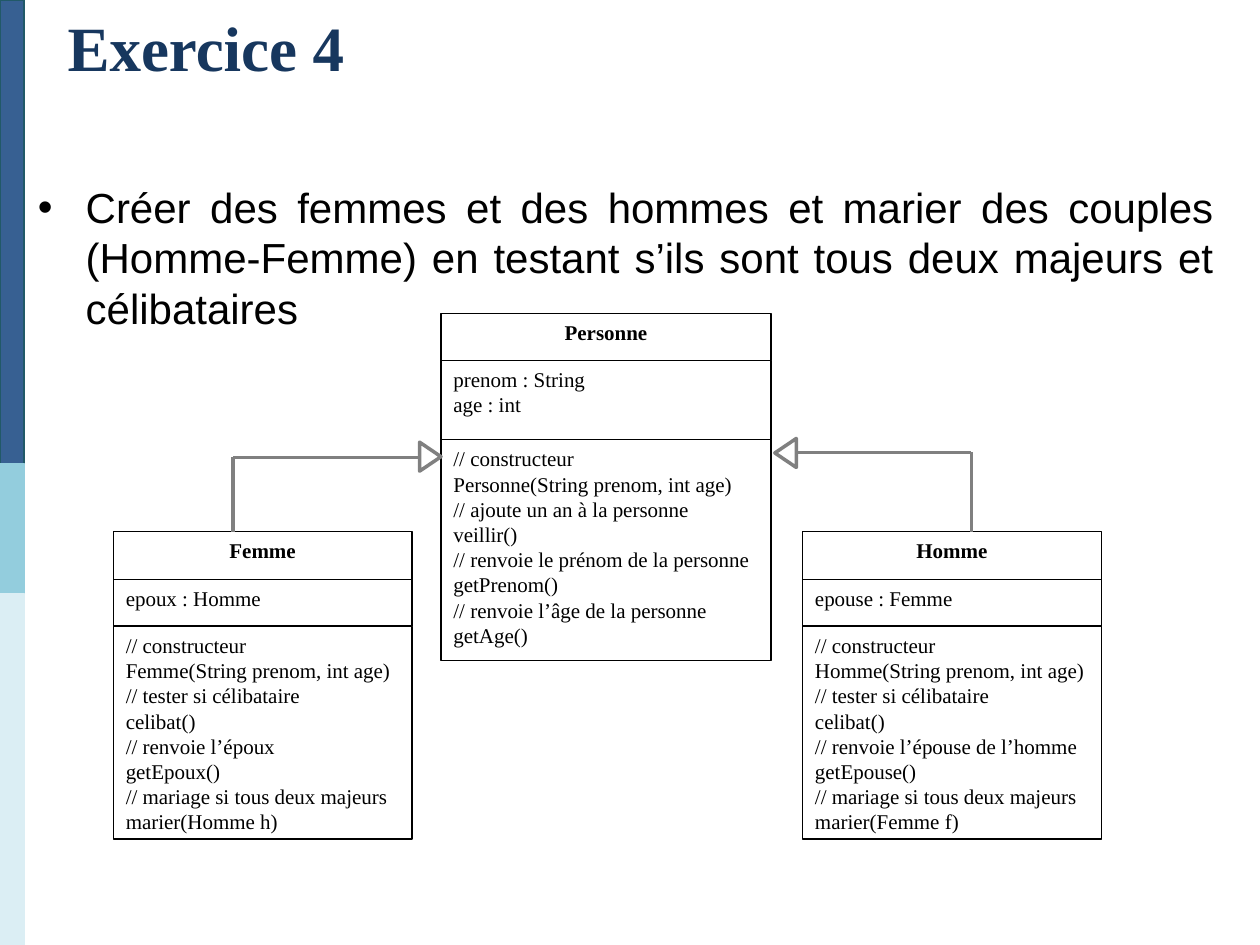
import pptx
import pptx.util
import pptx.dml.color
import pptx.enum.shapes
import pptx.enum.text
import pptx.oxml.ns
import lxml.etree

Inches, Pt = pptx.util.Inches, pptx.util.Pt
RGB = pptx.dml.color.RGBColor.from_string
SHAPE = pptx.enum.shapes.MSO_SHAPE
ALIGN = pptx.enum.text.PP_ALIGN
ANCHOR = pptx.enum.text.MSO_ANCHOR
AUTOSIZE = pptx.enum.text.MSO_AUTO_SIZE
qn = pptx.oxml.ns.qn

# Content
COLORS = {"title": "17375E", "ink": "000000", "paper": "FFFFFF", "link": "808080"}
SERIF, SANS = "Times New Roman", "Arial"
TITLE = "Exercice 4"
TASK = ("Créer des femmes et des hommes et marier des couples (Homme-Femme) "
        "en testant s’ils sont tous deux majeurs et célibataires")
# Side band: height, fill, line
BANDS = [(3.68, "376092", "215968"), (1.03, "93CDDD", "93CDDD"), (2.79, "DBEEF4", "DBEEF4")]
BAND_WIDTH = 0.19

CHILD_ROWS = (0.38, 0.37, 1.69)
CLASSES = [
    {"name": "Personne", "at": (3.5, 2.49), "width": 2.62, "rows": (0.37, 0.63, 1.75),
     "fields": ["prenom\u00a0: String", "age\u00a0: int"],
     "methods": ["// constructeur", "Personne(String prenom, int age)",
                 "// ajoute un an à la personne", "veillir()",
                 "// renvoie le prénom de la personne", "getPrenom()",
                 "// renvoie l’âge de la personne", "getAge()"]},
    {"name": "Homme", "at": (6.37, 4.22), "width": 2.37, "rows": CHILD_ROWS,
     "fields": ["epouse\u00a0: Femme"],
     "methods": ["// constructeur", "Homme(String prenom, int age)",
                 "// tester si célibataire", "celibat()",
                 "// renvoie l’épouse de l’homme", "getEpouse()",
                 "// mariage si tous deux majeurs", "marier(Femme f)"]},
    {"name": "Femme", "at": (0.9, 4.22), "width": 2.37, "rows": CHILD_ROWS,
     "fields": ["epoux\u00a0: Homme"],
     "methods": ["// constructeur", "Femme(String prenom, int age)",
                 "// tester si célibataire", "celibat()",
                 "// renvoie l’époux", "getEpoux()",
                 "// mariage si tous deux majeurs", "marier(Homme h)"]},
]
# Inheritance: child x, child top, elbow y, parent x, triangle left and top, rotation
LINKS = [(1.85, 4.22, 3.63, 3.5, (3.3, 3.54), 90),
         (7.71, 4.22, 3.59, 6.15, (6.12, 3.51), 270)]
HEAD_SIZE = (0.23, 0.17)

deck = pptx.Presentation()
deck.slide_width, deck.slide_height = Inches(10), Inches(7.5)
slide = deck.slides.add_slide(deck.slide_layouts[1])


def place(holder, left, top, width, height):
    holder.left, holder.top = Inches(left), Inches(top)
    holder.width, holder.height = Inches(width), Inches(height)


def write(paragraph, text, size, font, color, align, bold=False):
    paragraph.alignment = align
    run = paragraph.add_run()
    run.text = text
    run.font.size, run.font.name, run.font.bold = Pt(size), font, bold
    run.font.color.rgb = RGB(color)


def add_box(kind, left, top, width, height, fill, line, weight=0.75):
    box = slide.shapes.add_shape(kind, *map(Inches, (left, top, width, height)))
    box.shadow.inherit = False
    box.fill.solid()
    box.fill.fore_color.rgb = RGB(fill)
    box.line.color.rgb = RGB(line)
    box.line.width = Pt(weight)
    return box


def add_line(start, end, arrow=False):
    link = slide.shapes.add_connector(
        pptx.enum.shapes.MSO_CONNECTOR.STRAIGHT, *map(Inches, start + end))
    link.line.color.rgb = RGB(COLORS["link"])
    link.line.width = Pt(2)
    properties = link.line._get_or_add_ln()
    if arrow:
        lxml.etree.SubElement(properties, qn("a:tailEnd"), type="triangle")
    lxml.etree.SubElement(properties.getparent(), qn("a:effectLst"))


# Side band
band_top = 0
for height, fill, line in BANDS:
    add_box(SHAPE.RECTANGLE, 0, band_top, BAND_WIDTH, height, fill, line)
    band_top += height

# Title
title = slide.shapes.title
place(title, BAND_WIDTH, 0.01, 2.89, 0.71)
title.text_frame.auto_size = AUTOSIZE.SHAPE_TO_FIT_TEXT
write(title.text_frame.paragraphs[0], TITLE, 36, SERIF, COLORS["title"], ALIGN.CENTER, True)

# Task
task = slide.placeholders[1]
place(task, 0.2, 1.39, 9.53, 5.31)
task.text_frame.auto_size = AUTOSIZE.NONE
task_line = task.text_frame.paragraphs[0]
write(task_line, TASK, 24, SANS, COLORS["ink"], ALIGN.JUSTIFY)
indents = task_line._p.get_or_add_pPr()
indents.set("marL", str(Inches(0.38)))
indents.set("indent", str(-Inches(0.38)))
lxml.etree.SubElement(indents, qn("a:buFont"), typeface=SANS)
lxml.etree.SubElement(indents, qn("a:buChar"), char="•")

# Classes: name, fields and methods stacked
for uml in CLASSES:
    left, top = uml["at"]
    for part, height in zip(("name", "fields", "methods"), uml["rows"]):
        heading = part == "name"
        lines = [uml[part]] if heading else uml[part]
        cell = add_box(SHAPE.RECTANGLE, left, top, uml["width"], height,
                       COLORS["paper"], COLORS["ink"])
        frame = cell.text_frame
        frame.word_wrap = True
        frame.vertical_anchor = ANCHOR.TOP
        for index, text in enumerate(lines):
            paragraph = frame.add_paragraph() if index else frame.paragraphs[0]
            write(paragraph, text, 12, SERIF, COLORS["ink"],
                  ALIGN.CENTER if heading else ALIGN.LEFT, heading)
        top += height

# Inheritance arrows
for child_x, child_top, elbow_y, parent_x, head_at, rotation in LINKS:
    add_line((child_x, child_top), (child_x, elbow_y))
    add_line((child_x, elbow_y), (parent_x, elbow_y), arrow=True)
    head = add_box(SHAPE.ISOSCELES_TRIANGLE, *head_at, *HEAD_SIZE,
                   COLORS["paper"], COLORS["link"], 2)
    head.rotation = rotation

deck.save("out.pptx")
